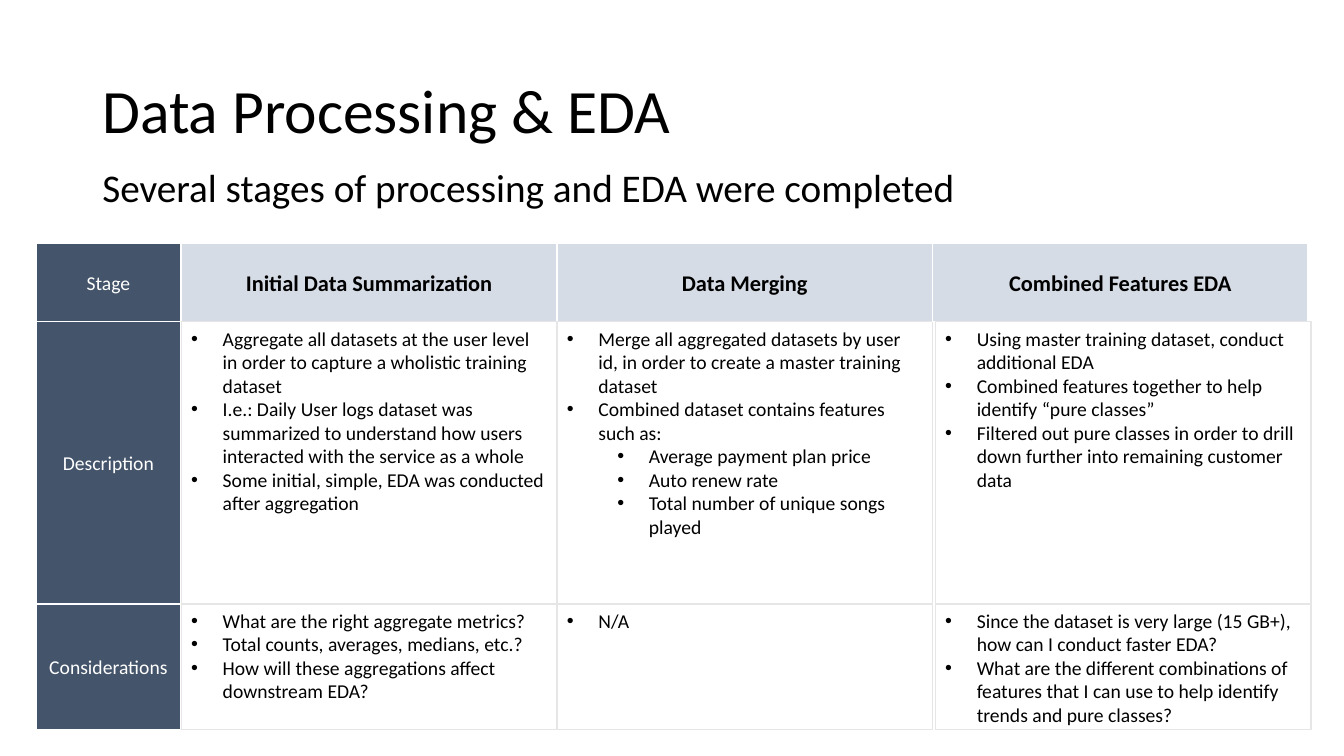
from pptx import Presentation
from pptx.dml.color import RGBColor
from pptx.enum import shapes, text
from pptx.oxml import parse_xml
from pptx.oxml.ns import nsdecls
from pptx.util import Pt

BLACK = RGBColor(0x00, 0x00, 0x00)
WHITE = RGBColor(0xFF, 0xFF, 0xFF)
SLATE = RGBColor(0x44, 0x54, 0x6A)
PALE = RGBColor(0xD6, 0xDC, 0xE5)
GREY = RGBColor(0xE7, 0xE6, 0xE6)

LABEL_X, LABEL_W = 26, 103
COL_X, COL_W = 129.5, 268.3
BODY_SHIFT = 2  # the last column's body sits slightly right of its header
INDENT, LEVEL_STEP = 22.5, 36

# label, top, height
rows = [
    ("Stage", 173.5, 56.2),
    ("Description", 229.7, 201.6),
    ("Considerations", 431.3, 90),
]

# header, then one list of (level, text) per body row
columns = [
    ("Initial Data Summarization",
     [(0, "Aggregate all datasets at the user level in order to capture a wholistic training dataset"),
      (0, "I.e.: Daily User logs dataset was summarized to understand how users "
          "interacted with the service as a whole"),
      (0, "Some initial, simple, EDA was conducted after aggregation")],
     [(0, "What are the right aggregate metrics?"),
      (0, "Total counts, averages, medians, etc.?"),
      (0, "How will these aggregations affect downstream EDA?")]),
    ("Data Merging",
     [(0, "Merge all aggregated datasets by user id, in order to create a master training dataset"),
      (0, "Combined dataset contains features such as:"),
      (1, "Average payment plan price"),
      (1, "Auto renew rate"),
      (1, "Total number of unique songs played")],
     [(0, "N/A")]),
    ("Combined Features EDA",
     [(0, "Using master training dataset, conduct additional EDA"),
      (0, "Combined features together to help identify “pure classes”"),
      (0, "Filtered out pure classes in order to drill down further into remaining customer data")],
     [(0, "Since the dataset is very large (15 GB+), how can I conduct faster EDA?"),
      (0, "What are the different combinations of features that I can use to help "
          "identify trends and pure classes?")]),
]


def add_run(p, words, size, color=BLACK, bold=False):
    """Add one Calibri run to a paragraph."""
    r = p.add_run()
    r.text = words
    r.font.name = "Calibri"
    r.font.size = Pt(size)
    r.font.bold = bold
    r.font.color.rgb = color


def add_box(x, y, w, h, line, fill=None):
    """Add a bordered rectangle and return its text frame."""
    sp = s.shapes.add_shape(shapes.MSO_SHAPE.RECTANGLE, Pt(x), Pt(y), Pt(w), Pt(h))
    sp.shadow.inherit = False
    sp.line.color.rgb = line
    sp.line.width = Pt(1)
    if fill is None:
        sp.fill.background()
    else:
        sp.fill.solid()
        sp.fill.fore_color.rgb = fill
    tf = sp.text_frame
    tf.word_wrap = True
    tf.vertical_anchor = text.MSO_ANCHOR.TOP if fill is None else text.MSO_ANCHOR.MIDDLE
    tf.paragraphs[0].alignment = text.PP_ALIGN.CENTER
    return tf


prs = Presentation()
prs.slide_width, prs.slide_height = Pt(960), Pt(540)
s = prs.slides.add_slide(prs.slide_layouts[6])

# Title and subtitle
for words, size, y, h, anchor, before in [
    ("Data Processing & EDA", 44, 28.8, 104.4, text.MSO_ANCHOR.MIDDLE, 0),
    ("Several stages of processing and EDA were completed", 28, 116.6, 56.2, text.MSO_ANCHOR.TOP, 10),
]:
    tf = s.shapes.add_textbox(Pt(66), Pt(y), Pt(828), Pt(h)).text_frame
    tf.word_wrap = True
    tf.vertical_anchor = anchor
    p = tf.paragraphs[0]
    p.line_spacing = 0.9
    p.space_before = Pt(before)
    add_run(p, words, size)

# Row labels
for label, y, h in rows:
    tf = add_box(LABEL_X, y, LABEL_W, h, WHITE, SLATE)
    add_run(tf.paragraphs[0], label, 14, WHITE)

# Column headers and bulleted bodies
for i, (header, *bodies) in enumerate(columns):
    x = COL_X + i * COL_W
    _, y, h = rows[0]
    tf = add_box(x, y, COL_W, h, WHITE, PALE)
    add_run(tf.paragraphs[0], header, 16, bold=True)

    if i == len(columns) - 1:
        x += BODY_SHIFT
    for (_, y, h), bullets in zip(rows[1:], bodies):
        tf = add_box(x, y, COL_W, h, GREY)
        for n, (level, words) in enumerate(bullets):
            p = tf.add_paragraph() if n else tf.paragraphs[0]
            p.alignment = text.PP_ALIGN.LEFT
            p.level = level
            pPr = p._p.get_or_add_pPr()
            pPr.set("marL", str(Pt(INDENT + level * LEVEL_STEP)))
            pPr.set("indent", str(-Pt(INDENT)))
            pPr.append(parse_xml(f'<a:buFont {nsdecls("a")} typeface="Arial"/>'))
            pPr.append(parse_xml(f'<a:buChar {nsdecls("a")} char="•"/>'))
            add_run(p, words, 14)

prs.save("out.pptx")
